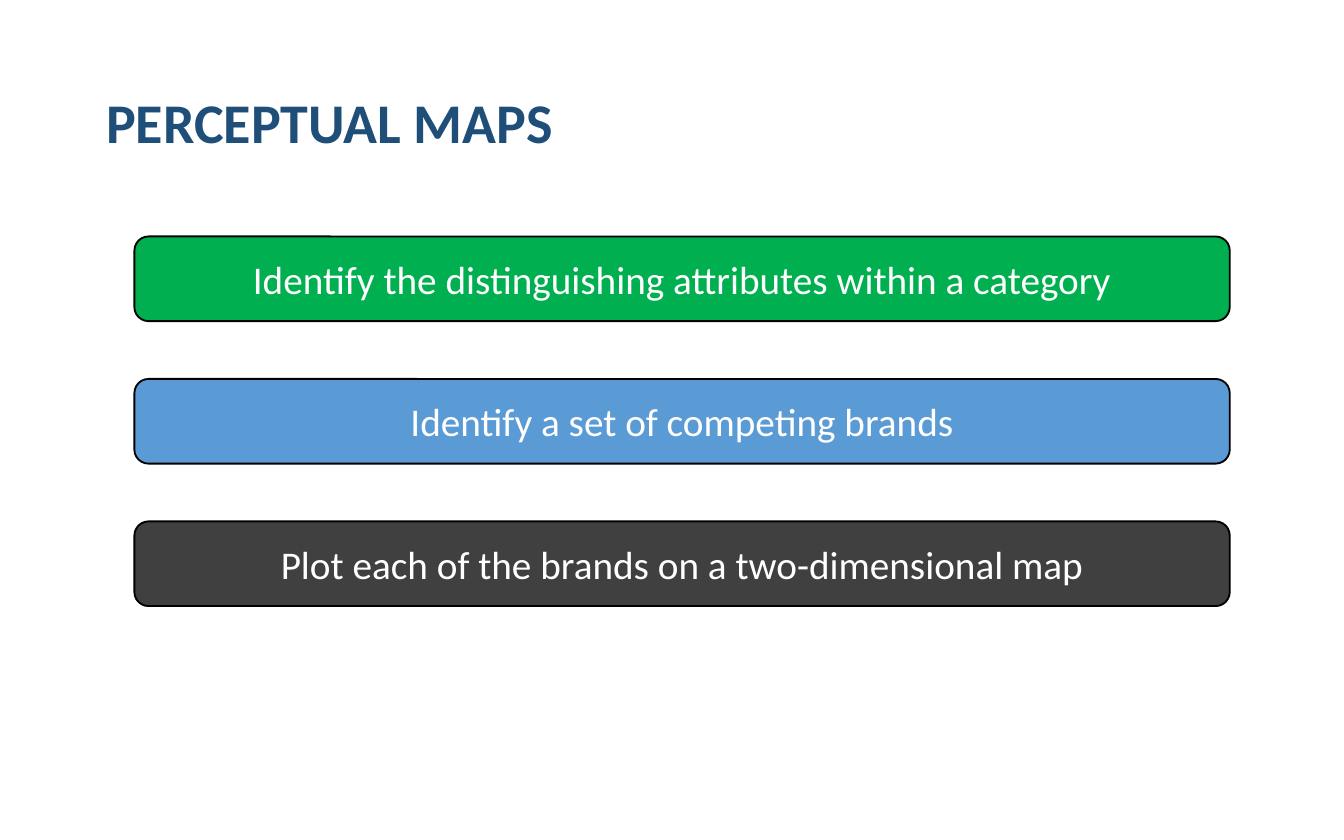
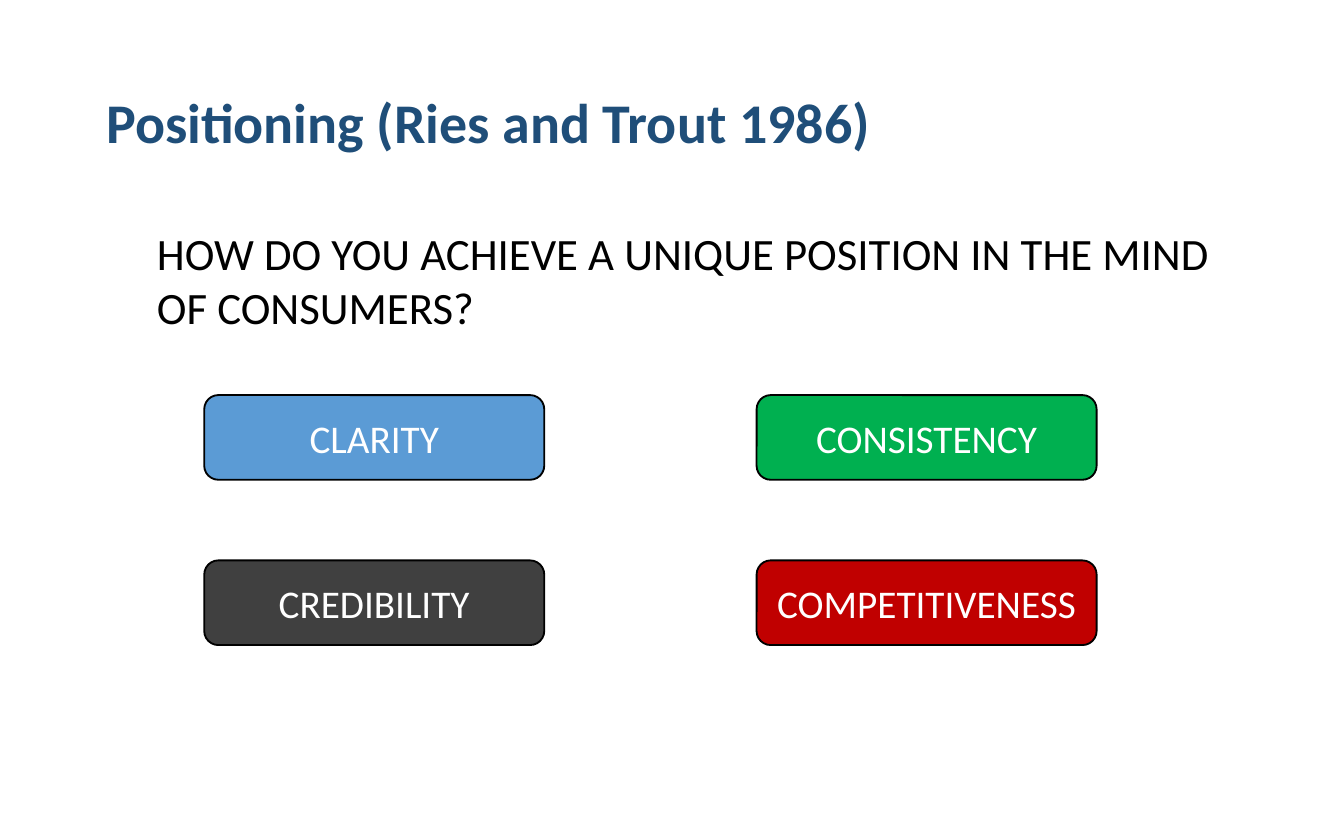
from dataclasses import dataclass

from pptx import Presentation
from pptx import util as u
from pptx.dml.color import RGBColor
from pptx.enum import shapes, text

PX = 9144  # EMU per px, 100 px to the inch
WIDTH, HEIGHT = 1000, 625
TITLE_ONLY = 5


@dataclass(frozen=True)
class Theme:
    font: str = "Calibri"
    title_size: int = 30
    question_size: int = 24
    box_size: int = 21
    navy: str = "1F4E79"
    black: str = "000000"
    white: str = "FFFFFF"
    blue: str = "5B9BD5"
    green: str = "00B050"
    charcoal: str = "404040"
    red: str = "C00000"
    box_height: int = 63


class Deck:
    """Holds the theme and the current slide."""

    def __init__(self, theme):
        self.theme = theme
        self.prs = Presentation()
        self.prs.slide_width = u.Emu(WIDTH * PX)
        self.prs.slide_height = u.Emu(HEIGHT * PX)
        self.s = None

    def set_text(self, sp, words, size, color, align, anchor, bold=False):
        tf = sp.text_frame
        tf.text = words
        tf.word_wrap = True
        tf.auto_size = text.MSO_AUTO_SIZE.NONE
        tf.vertical_anchor = anchor
        p = tf.paragraphs[0]
        p.alignment = align
        p.font.name = self.theme.font
        p.font.size = u.Pt(size)
        p.font.bold = bold
        p.font.color.rgb = RGBColor.from_string(color)
        return p

    def slide(self, title):
        self.s = self.prs.slides.add_slide(self.prs.slide_layouts[TITLE_ONLY])
        sp = self.s.shapes.title
        sp.left, sp.top, sp.width, sp.height = (u.Emu(n * PX) for n in (69, 33, 862, 121))
        p = self.set_text(sp, title, self.theme.title_size, self.theme.navy,
                          text.PP_ALIGN.LEFT, text.MSO_ANCHOR.MIDDLE, bold=True)
        p.line_spacing = 0.9

    def question(self, words, x, y, w, h):
        sp = self.s.shapes.add_textbox(*(u.Emu(n * PX) for n in (x, y, w, h)))
        self.set_text(sp, words, self.theme.question_size, self.theme.black,
                      text.PP_ALIGN.LEFT, text.MSO_ANCHOR.TOP)

    def box(self, words, fill, x, y, w):
        bounds = (u.Emu(n * PX) for n in (x, y, w, self.theme.box_height))
        sp = self.s.shapes.add_shape(shapes.MSO_SHAPE.ROUNDED_RECTANGLE, *bounds)
        sp.shadow.inherit = False
        sp.fill.solid()
        sp.fill.fore_color.rgb = RGBColor.from_string(fill)
        sp.line.color.rgb = RGBColor.from_string(self.theme.black)
        sp.line.width = u.Pt(1)
        self.set_text(sp, words, self.theme.box_size, self.theme.white,
                      text.PP_ALIGN.CENTER, text.MSO_ANCHOR.MIDDLE)


def perceptual_maps(deck):
    t = deck.theme
    deck.slide("PERCEPTUAL MAPS")
    # Three steps, stacked
    steps = [
        ("Identify the distinguishing attributes within a category", t.green),
        ("Identify a set of competing brands", t.blue),
        ("Plot each of the brands on a two-dimensional map", t.charcoal),
    ]
    for i, (step, fill) in enumerate(steps):
        deck.box(step, fill, 100, 176 + 106 * i, 815)


def positioning(deck):
    t = deck.theme
    deck.slide("Positioning (Ries and Trout 1986)")
    deck.question("HOW DO YOU ACHIEVE A UNIQUE POSITION IN THE MIND OF CONSUMERS?",
                  107, 163, 824, 91)
    # Four answers, two by two
    answers = [
        ("CLARITY", t.blue),
        ("CONSISTENCY", t.green),
        ("CREDIBILITY", t.charcoal),
        ("COMPETITIVENESS", t.red),
    ]
    for i, (answer, fill) in enumerate(answers):
        row, col = divmod(i, 2)
        deck.box(answer, fill, 152 + 411 * col, 294 + 123 * row, 253)


def main():
    deck = Deck(Theme())
    perceptual_maps(deck)
    positioning(deck)
    deck.prs.save("out.pptx")


if __name__ == "__main__":
    main()
